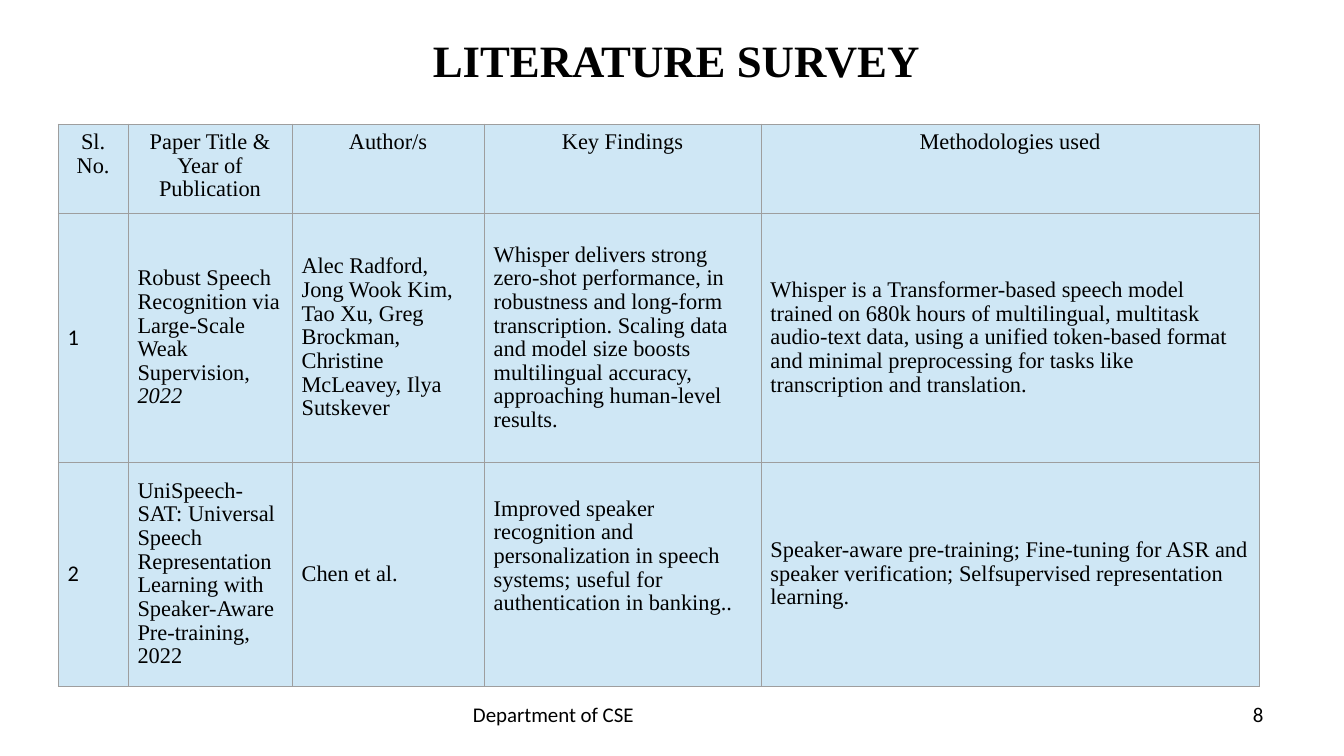
"""Build the literature survey slide."""
from lxml.etree import SubElement
from pptx import Presentation
from pptx.dml.color import RGBColor
from pptx.enum.text import MSO_ANCHOR, MSO_AUTO_SIZE, PP_ALIGN
from pptx.oxml.ns import qn
from pptx.util import Cm, Pt

HEADINGS = ["Sl. No.", "Paper Title & Year of Publication", "Author/s",
            "Key Findings", "Methodologies used"]
PAPERS = [
    ["1",
     ("Robust Speech Recognition via Large-Scale Weak Supervision, ", "2022"),
     "Alec Radford, Jong Wook Kim, Tao Xu, Greg Brockman, Christine McLeavey, Ilya Sutskever",
     "Whisper delivers strong zero-shot performance, in robustness and long-form "
     "transcription. Scaling data and model size boosts multilingual accuracy, "
     "approaching human-level results.",
     "Whisper is a Transformer-based speech model trained on 680k hours of multilingual, "
     "multitask audio-text data, using a unified token-based format and minimal "
     "preprocessing for tasks like transcription and translation."],
    ["2",
     "UniSpeech-SAT: Universal Speech Representation Learning with Speaker-Aware "
     "Pre-training, 2022",
     "Chen et al.",
     "Improved speaker recognition and personalization in speech systems; useful for "
     "authentication in banking..",
     "Speaker-aware pre-training; Fine-tuning for ASR and speaker verification; "
     "Selfsupervised representation learning."],
]
COLUMN_WIDTHS = [1.32, 3.1, 3.63, 5.23, 9.42]
ROW_HEIGHTS = [1.7, 4.69, 4.24]


def color(value):
    """Turn a hex string into a colour."""
    return RGBColor.from_string(value)


class SurveySlide:
    """Holds the style and the current slide."""

    serif, sans = "Times New Roman", "Calibri"
    ink, panel, rule = "000000", "CFE7F5", "9E9E9E"

    def __init__(self, deck):
        """Add a slide with a title only."""
        self.slide = deck.slides.add_slide(deck.slide_layouts[5])

    def style(self, paragraph, size, face, spacing=1.0, align=PP_ALIGN.LEFT, bold=False):
        """Format one paragraph."""
        paragraph.alignment = align
        paragraph.line_spacing = spacing
        font = paragraph.font
        font.size, font.name, font.bold = Pt(size), face, bold
        font.color.rgb = color(self.ink)

    def title(self, wording, left, top, width, height):
        """Place the title."""
        heading = self.slide.shapes.title
        heading.left, heading.top = Cm(left), Cm(top)
        heading.width, heading.height = Cm(width), Cm(height)
        frame = heading.text_frame
        frame.text = wording
        frame.auto_size = MSO_AUTO_SIZE.NONE
        frame.vertical_anchor = MSO_ANCHOR.MIDDLE
        self.style(frame.paragraphs[0], 24, self.serif, align=PP_ALIGN.CENTER, bold=True)

    def footer(self, wording, left, width, align=PP_ALIGN.LEFT):
        """Add one text at the foot of the slide."""
        frame = self.slide.shapes.add_textbox(Cm(left), Cm(13.23), Cm(width), Cm(0.76)).text_frame
        frame.word_wrap = True
        frame.text = wording
        self.style(frame.paragraphs[0], 11.2, self.sans, 0.8, align)

    def border(self, cell):
        """Draw a thin line on every side of a cell."""
        properties = cell._tc.get_or_add_tcPr()
        for side in ("lnL", "lnR", "lnT", "lnB"):
            line = SubElement(properties, qn(f"a:{side}"), w=str(Pt(0.34)))
            fill = SubElement(line, qn("a:solidFill"))
            SubElement(fill, qn("a:srgbClr"), val=self.rule)

    def cell(self, cell, content, is_heading, is_number):
        """Fill and format one cell; a second part of the content is italic."""
        cell.margin_left = cell.margin_right = Cm(0.15 if is_heading else 0.18)
        cell.margin_top = cell.margin_bottom = Cm(0.13)
        cell.vertical_anchor = MSO_ANCHOR.TOP if is_heading else MSO_ANCHOR.MIDDLE
        self.border(cell)
        cell.fill.solid()
        cell.fill.fore_color.rgb = color(self.panel)
        paragraph = cell.text_frame.paragraphs[0]
        self.style(paragraph, 12, self.sans if is_number else self.serif,
                   1.02 if is_number else 0.95,
                   PP_ALIGN.CENTER if is_heading else PP_ALIGN.LEFT)
        parts = (content,) if isinstance(content, str) else content
        for index, part in enumerate(parts):
            run = paragraph.add_run()
            run.text = part
            if index:
                run.font.italic = True

    def table(self, records, left, top):
        """Add the table of papers."""
        table = self.slide.shapes.add_table(
            len(records), len(COLUMN_WIDTHS), Cm(left), Cm(top),
            Cm(sum(COLUMN_WIDTHS)), Cm(sum(ROW_HEIGHTS))).table
        table.first_row = table.horz_banding = False
        for column, width in zip(table.columns, COLUMN_WIDTHS):
            column.width = Cm(width)
        for row, height in zip(table.rows, ROW_HEIGHTS):
            row.height = Cm(height)
        for row, record in enumerate(records):
            for column, content in enumerate(record):
                self.cell(table.cell(row, column), content, row == 0, row > 0 and column == 0)
        return table


def main():
    """Build and save the deck."""
    deck = Presentation()
    deck.slide_width, deck.slide_height = Cm(25.4), Cm(14.29)
    survey = SurveySlide(deck)
    survey.title("LITERATURE SURVEY", 5.78, 0.43, 14, 1.4)
    papers = survey.table([HEADINGS, *PAPERS], 1.1, 2.34)
    papers.cell(2, 3).margin_bottom = Cm(0.79)
    survey.footer("Department of CSE", 8.69, 8.05)
    survey.footer("8", 18.21, 5.92, PP_ALIGN.RIGHT)
    deck.save("out.pptx")


if __name__ == "__main__":
    main()
